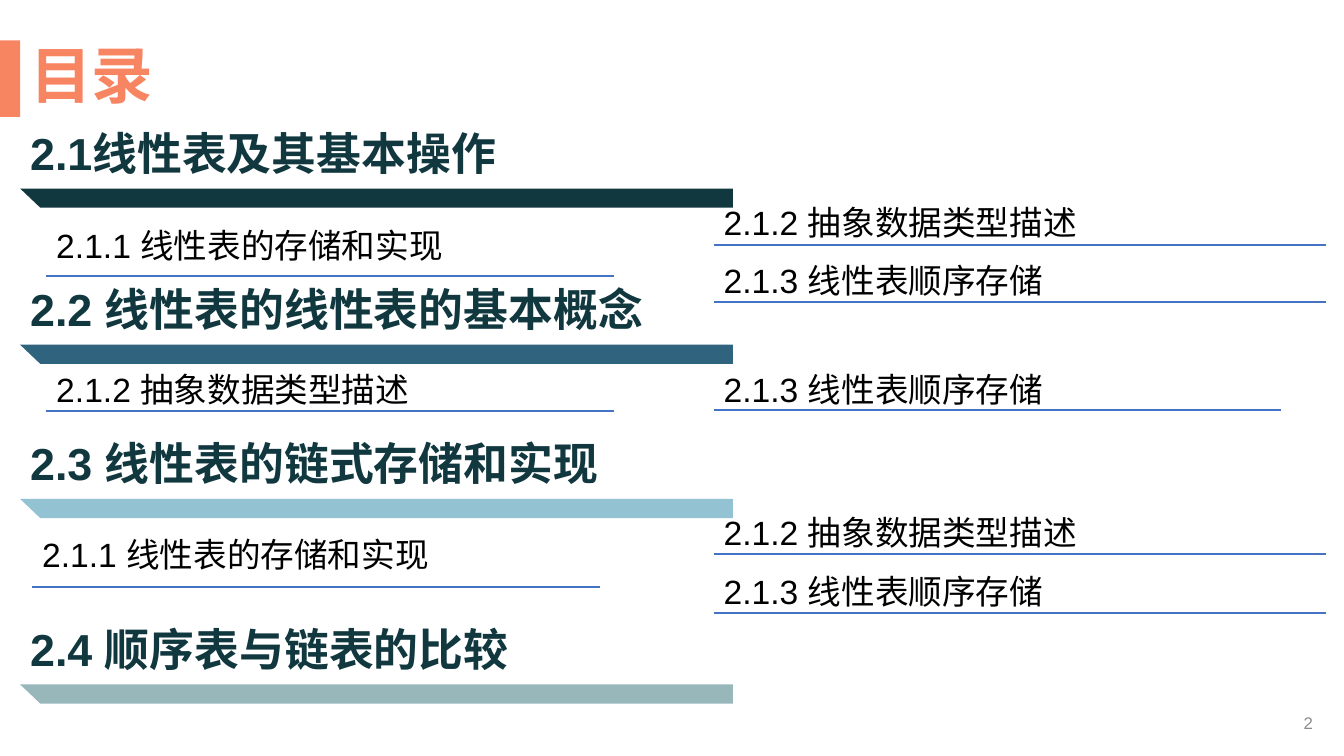
from lxml import etree
from pptx import Presentation
from pptx.dml.color import RGBColor
from pptx.enum.lang import MSO_LANGUAGE_ID
from pptx.enum.shapes import MSO_CONNECTOR, MSO_SHAPE
from pptx.enum.text import MSO_ANCHOR, PP_ALIGN
from pptx.oxml.ns import qn
from pptx.util import Pt

EMU_PER_PX = 9144
STRAIGHT = MSO_CONNECTOR.STRAIGHT
RECTANGLE = MSO_SHAPE.RECTANGLE
CHINESE = MSO_LANGUAGE_ID.SIMPLIFIED_CHINESE
TOP, MIDDLE = MSO_ANCHOR.TOP, MSO_ANCHOR.MIDDLE
LEFT, RIGHT = PP_ALIGN.LEFT, PP_ALIGN.RIGHT

FONT = "Arial"
CORAL = RGBColor(0xF8, 0x85, 0x62)
GREY = RGBColor(0x8C, 0x8C, 0x8C)
BLACK = RGBColor(0, 0, 0)
RULE_BLUE = RGBColor(0x44, 0x72, 0xC4)
NAVY = RGBColor(0x11, 0x37, 0x3F)
STEEL = RGBColor(0x2F, 0x63, 0x7E)
SKY = RGBColor(0x93, 0xC3, 0xD3)
SAGE = RGBColor(0x98, 0xB7, 0xBB)

STORAGE = "2.1.1 线性表的存储和实现"
ABSTRACT = "2.1.2 抽象数据类型描述"
SEQUENTIAL = "2.1.3 线性表顺序存储"
RIGHT_COLUMN = 708
SHORT_RULE, LONG_RULE = 563, 607

SECTIONS = [
    (119, "2.1线性表及其基本操作", NAVY),
    (274, "2.2 线性表的线性表的基本概念", STEEL),
    (427, "2.3 线性表的链式存储和实现", SKY),
    (611, "2.4 顺序表与链表的比较", SAGE),
]
ENTRIES = [
    (46, 218, 274, SHORT_RULE, STORAGE),
    (RIGHT_COLUMN, 195, 243, LONG_RULE, ABSTRACT),
    (RIGHT_COLUMN, 253, 300, LONG_RULE, SEQUENTIAL),
    (46, 361, 408, SHORT_RULE, ABSTRACT),
    (RIGHT_COLUMN, 361, 407, SHORT_RULE, SEQUENTIAL),
    (32, 525, 582, SHORT_RULE, STORAGE),
    (RIGHT_COLUMN, 503, 550, LONG_RULE, ABSTRACT),
    (RIGHT_COLUMN, 561, 608, LONG_RULE, SEQUENTIAL),
]


def px(*lengths):
    """Turn pixel lengths into EMU."""
    return [length * EMU_PER_PX for length in lengths]


def paint(shape, color):
    """Give a shape a flat fill without outline or shadow."""
    shape.fill.solid()
    shape.fill.fore_color.rgb = color
    shape.line.fill.background()
    shape.shadow.inherit = False


def add_text(page, text, left, top, width, height, *, size, color,
             bold=False, align=LEFT, anchor=TOP, spacing=1.0):
    """Add a text box holding one formatted paragraph."""
    box = page.shapes.add_textbox(*px(left, top, width, height))
    frame = box.text_frame
    frame.word_wrap = True
    frame.vertical_anchor = anchor
    para = frame.paragraphs[0]
    para.alignment = align
    para.line_spacing = spacing
    span = para.add_run()
    span.text = text
    span.font.name = FONT
    span.font.size = Pt(size)
    span.font.bold = bold
    span.font.color.rgb = color
    span.font.language_id = CHINESE


def add_section(page, top, text, color):
    """Add a section heading above its slanted bar."""
    bar_top, bar_bottom = top + 68, top + 87
    builder = page.shapes.build_freeform(*px(20, bar_top))
    corners = [(727, bar_top), (727, bar_bottom), (40, bar_bottom)]
    builder.add_line_segments([px(*corner) for corner in corners], close=True)
    paint(builder.convert_to_shape(), color)
    add_text(page, text, 20, top, 708, 64, size=32, color=NAVY, bold=True,
             anchor=MIDDLE)


def add_entry(page, left, top, rule_y, rule_width, text):
    """Add a subsection entry with the rule below it."""
    rule = page.shapes.add_connector(
        STRAIGHT, *px(left, rule_y, left + rule_width, rule_y))
    rule.line.color.rgb = RULE_BLUE
    rule.line.width = Pt(1.5)
    etree.SubElement(rule._element.spPr, qn("a:effectLst"))
    add_text(page, text, left, top, 504, 50, size=24, color=BLACK)


def main():
    """Build the contents slide and save it."""
    deck = Presentation()
    deck.slide_width, deck.slide_height = px(1333, 750)
    page = deck.slides.add_slide(deck.slide_layouts[6])
    accent = page.shapes.add_shape(RECTANGLE, *px(0, 40, 20, 76))
    paint(accent, CORAL)
    add_text(page, "目录", 20, 39, 1294, 77, size=44, color=CORAL, bold=True,
             anchor=MIDDLE, spacing=0.9)
    add_text(page, "2", 1012, 697, 300, 40, size=12, color=GREY,
             align=RIGHT, anchor=MIDDLE)
    for section in SECTIONS:
        add_section(page, *section)
    for entry in ENTRIES:
        add_entry(page, *entry)
    deck.save("out.pptx")


if __name__ == "__main__":
    main()
